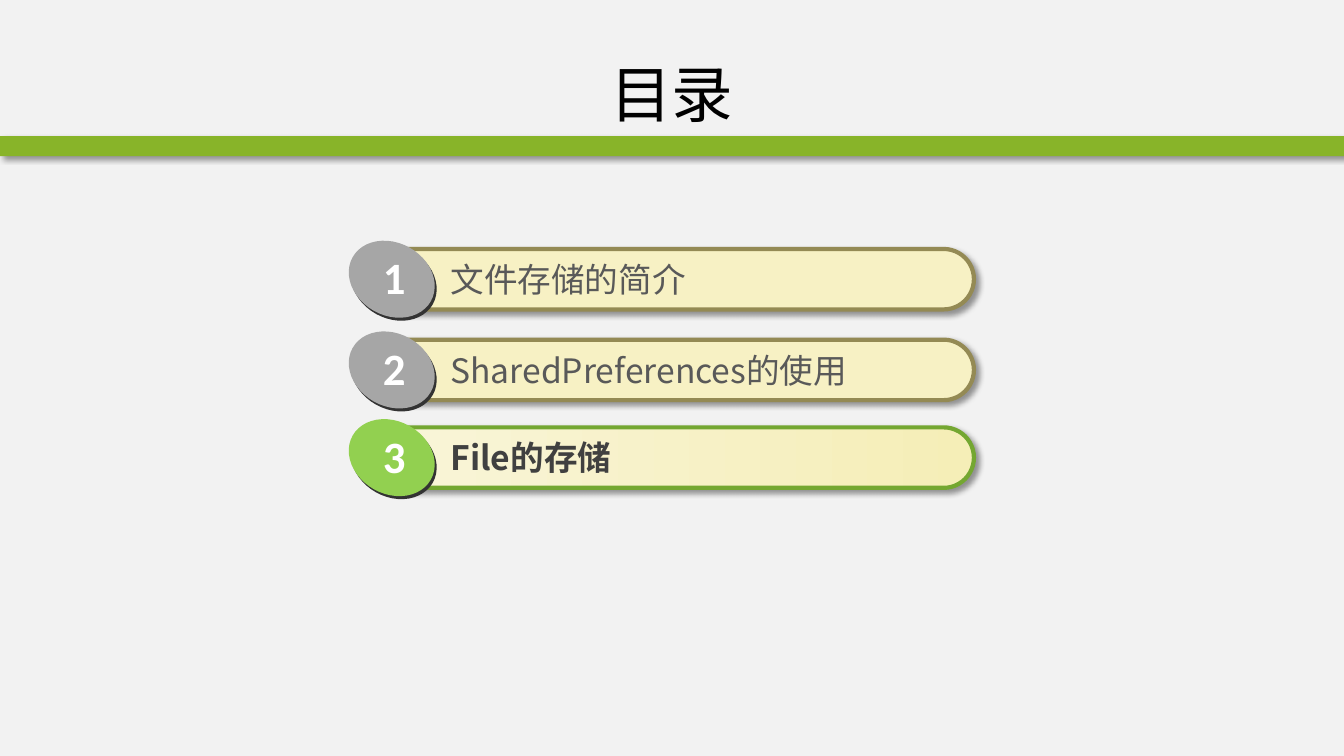
from lxml import etree
from pptx import Presentation
from pptx import util as u
from pptx.dml.color import RGBColor
from pptx.enum import shapes, text
from pptx.oxml import parse_xml
from pptx.oxml.ns import nsdecls, qn

WIDTH, HEIGHT = 13.33, 7.5
CJK = "Noto Sans CJK SC"
SHADOW = (f'<a:effectLst {nsdecls("a")}><a:outerShdw blurRad="{u.Pt(4)}" dist="{u.Pt(3)}" '
          'dir="2700000" algn="tl" rotWithShape="0"><a:srgbClr val="000000">'
          '<a:alpha val="40000"/></a:srgbClr></a:outerShdw></a:effectLst>')


def add_block(kind, left, top, width, height, fill, line=None, shadow=False):
    shape = slide.shapes.add_shape(kind, *map(u.Inches, (left, top, width, height)))
    shape.shadow.inherit = False
    if isinstance(fill, tuple):
        shape.fill.gradient()
        shape.fill.gradient_angle = 0
        for stop, color in zip(shape.fill.gradient_stops, fill):
            stop.color.rgb = RGBColor.from_string(color)
    else:
        shape.fill.solid()
        shape.fill.fore_color.rgb = RGBColor.from_string(fill)
    if line:
        shape.line.color.rgb = RGBColor.from_string(line)
        shape.line.width = u.Pt(3)
    else:
        shape.line.fill.background()
    if shadow:
        properties = shape._element.spPr
        properties.replace(properties.find(qn("a:effectLst")), parse_xml(SHADOW))
    return shape


def add_text(words, left, top, width, height, size, font, color, bold=False, wrap=True):
    box = slide.shapes.add_textbox(*map(u.Inches, (left, top, width, height)))
    box.text_frame.word_wrap = wrap
    paragraph = box.text_frame.paragraphs[0]
    paragraph.text = words
    paragraph.font.size = u.Pt(size)
    paragraph.font.bold = bold
    paragraph.font.color.rgb = RGBColor.from_string(color)
    paragraph.font.name = font
    defaults = paragraph._p.pPr.find(qn("a:defRPr"))
    etree.SubElement(defaults, qn("a:ea")).set("typeface", font)
    return box


presentation = Presentation()
presentation.slide_width = u.Inches(WIDTH)
presentation.slide_height = u.Inches(HEIGHT)
slide = presentation.slides.add_slide(presentation.slide_layouts[6])
slide.background.fill.solid()
slide.background.fill.fore_color.rgb = RGBColor.from_string("F2F2F2")

# Green band and title
add_block(shapes.MSO_SHAPE.RECTANGLE, 0, 1.35, WIDTH, 0.2, "88B429", shadow=True)
title = add_text("目录", WIDTH * 0.05, 0.3, WIDTH * 0.9, 1.25, 44, CJK, "000000")
title.text_frame.vertical_anchor = text.MSO_ANCHOR.MIDDLE
title.text_frame.paragraphs[0].alignment = text.PP_ALIGN.CENTER

# Contents: the current chapter is green and bold
chapters = [(2.47, "文件存储的简介", False),
            (3.37, "SharedPreferences的使用", False),
            (4.24, "File的存储", True)]
for number, (top, name, current) in enumerate(chapters, 1):
    bar = add_block(shapes.MSO_SHAPE.ROUNDED_RECTANGLE, 3.66, top, 6, 0.6,
                    ("F9F5D9", "F5EEB7") if current else "F7F1C4",
                    "74A731" if current else "948A54", shadow=True)
    bar.adjustments[0] = 0.5
    add_text(name, 4.37, top + 0.05, 4.9, 0.5, 24, CJK,
             "404040" if current else "595959", bold=current)

    # Number badge: dark edge below, coloured face above
    face = "92D050" if current else "A6A6A6"
    for left, rise, fill in ((3.46, 0.03, "333333"), (3.44, 0.06, face)):
        badge = add_block(shapes.MSO_SHAPE.OVAL, left, top - rise, 0.89, 0.72, fill)
        badge.rotation = 29.3
    add_text(str(number), 3.7, top - 0.04, 0.43, 0.64, 32, "Calibri", "FFFFFF",
             bold=True, wrap=False)

presentation.save("out.pptx")
